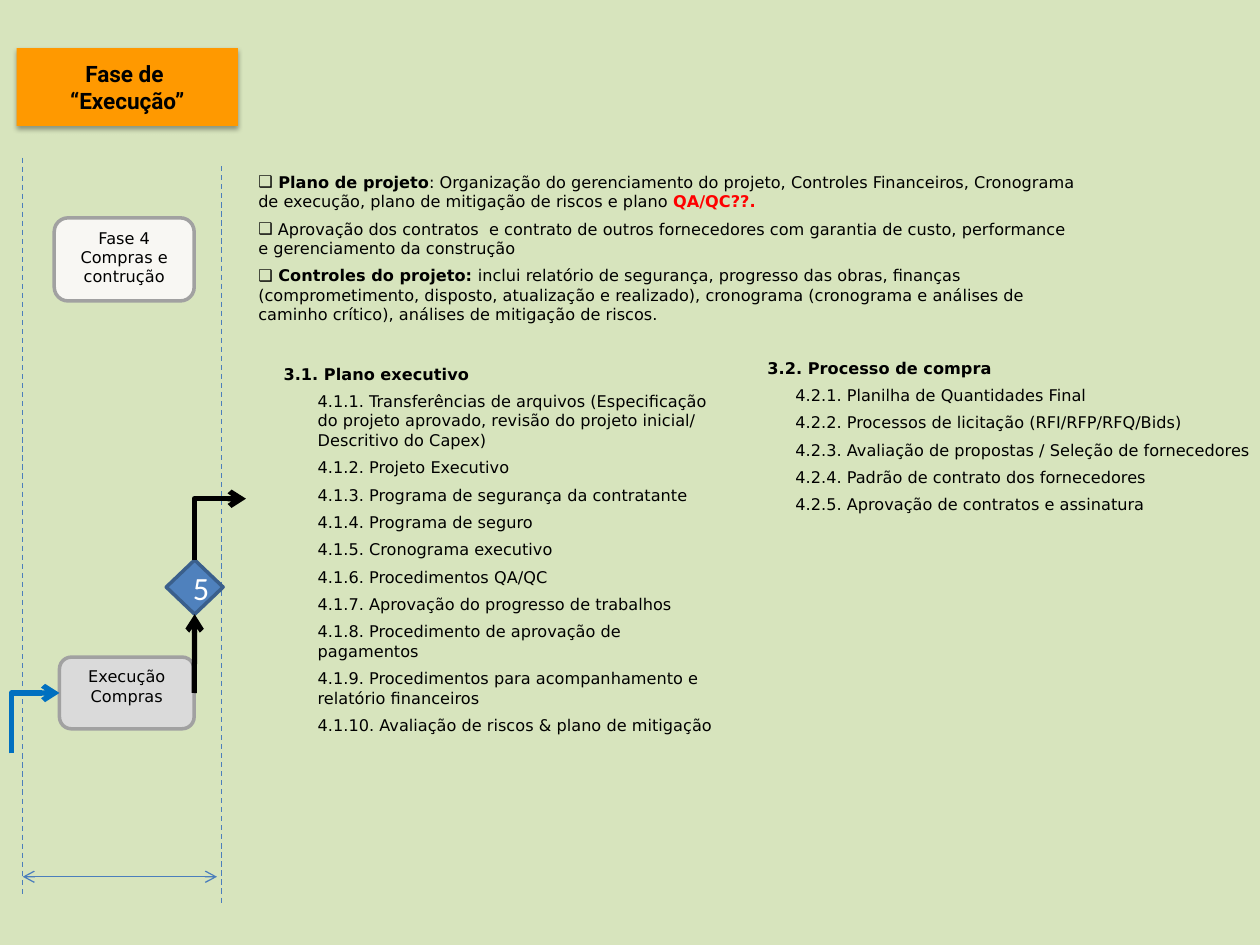
from lxml.etree import SubElement
from pptx import Presentation
from pptx.dml.color import RGBColor
from pptx.enum.dml import MSO_LINE
from pptx.enum.shapes import MSO_CONNECTOR, MSO_SHAPE
from pptx.enum.text import MSO_ANCHOR, MSO_AUTO_SIZE, PP_ALIGN
from pptx.oxml.ns import qn
from pptx.util import Pt

COLORS = {
    "background": "D7E4BD", "title": "FF9900", "text": "000000", "alert": "FF0000",
    "phase": "F8F7F3", "step": "DADADA", "box_line": "A1A1A1", "white": "FFFFFF",
    "gate": "4F81BD", "gate_line": "3A5F8C", "guide": "4B7EBC", "entry": "0070C0",
}
BODY_FONT = "DejaVu Sans"
BODY_SIZE = 9.2


def rgb(name):
    return RGBColor.from_string(COLORS[name])


class PhaseSlide:
    def __init__(self, presentation):
        self.slide = presentation.slides.add_slide(presentation.slide_layouts[5])
        self.shapes = self.slide.shapes
        self.slide.background.fill.solid()
        self.slide.background.fill.fore_color.rgb = rgb("background")

    def style(self, run, color="text", bold=False, font=BODY_FONT, size=BODY_SIZE):
        run.font.name, run.font.size, run.font.bold = font, Pt(size), bold
        run.font.color.rgb = rgb(color)

    def write_centered(self, shape, text, anchor, **style):
        frame = shape.text_frame
        frame.text = text
        frame.word_wrap = True
        frame.vertical_anchor = anchor
        for paragraph in frame.paragraphs:
            paragraph.alignment = PP_ALIGN.CENTER
            for run in paragraph.runs:
                self.style(run, **style)

    def title(self, text, left, top, width, height):
        title = self.shapes.title
        title.left, title.top, title.width, title.height = map(Pt, (left, top, width, height))
        title.fill.solid()
        title.fill.fore_color.rgb = rgb("title")
        self.write_centered(title, text, MSO_ANCHOR.MIDDLE, bold=True, font="Roboto", size=12.9)
        title.text_frame.auto_size = MSO_AUTO_SIZE.NONE
        # Soft shadow below the box
        effects = SubElement(title._element.spPr, qn("a:effectLst"))
        shadow = SubElement(effects, qn("a:outerShdw"), blurRad=str(Pt(3.1)),
                            dist=str(Pt(1.8)), dir="5400000", rotWithShape="0")
        color = SubElement(shadow, qn("a:srgbClr"), val=COLORS["text"])
        SubElement(color, qn("a:alpha"), val="35000")

    def box(self, kind, text, left, top, width, height, fill, line,
            anchor=MSO_ANCHOR.TOP, **style):
        box = self.shapes.add_shape(kind, Pt(left), Pt(top), Pt(width), Pt(height))
        box.shadow.inherit = False
        box.fill.solid()
        box.fill.fore_color.rgb = rgb(fill)
        box.line.color.rgb = rgb(line)
        box.line.width = Pt(2)
        self.write_centered(box, text, anchor, **style)
        return box

    def line(self, start, end, color, width, head=False, tail=False, dash=None):
        line = self.shapes.add_connector(MSO_CONNECTOR.STRAIGHT, *map(Pt, start + end))
        line.line.color.rgb = rgb(color)
        line.line.width = Pt(width)
        if dash:
            line.line.dash_style = dash
        for tag, wanted in (("a:headEnd", head), ("a:tailEnd", tail)):
            if wanted:
                SubElement(line.line._get_or_add_ln(), qn(tag), type="arrow")
        SubElement(line._element.spPr, qn("a:effectLst"))
        return line

    def elbow(self, start, end, color):
        """Arrow that goes up, then right: a flipped elbow turned by 90 degrees."""
        (x1, y1), (x2, y2) = start, end
        center_x, center_y = (x1 + x2) / 2, (y1 + y2) / 2
        half_rise, half_run = (y1 - y2) / 2, (x2 - x1) / 2
        elbow = self.line((center_x + half_rise, center_y + half_run),
                          (center_x - half_rise, center_y - half_run), color, 3, tail=True)
        properties = elbow._element.spPr
        properties.find(qn("a:xfrm")).set("rot", "5400000")
        properties.find(qn("a:prstGeom")).set("prst", "bentConnector2")

    def text(self, left, top, width, height, paragraphs, margin=0, indent=0, bullet=None):
        """Each paragraph is a list of (text, style) runs; the margin skips the heading."""
        frame = self.shapes.add_textbox(Pt(left), Pt(top), Pt(width), Pt(height)).text_frame
        frame.word_wrap = True
        for index, pieces in enumerate(paragraphs):
            paragraph = frame.paragraphs[0] if index == 0 else frame.add_paragraph()
            properties = paragraph._p.get_or_add_pPr()
            if bullet:
                SubElement(properties, qn("a:buFont"), typeface=BODY_FONT)
                SubElement(properties, qn("a:buChar"), char=bullet)
            if index:
                paragraph.space_before = Pt(BODY_SIZE / 2)
                properties.set("marL", str(Pt(margin)))
                properties.set("indent", str(Pt(indent)))
            for piece, style in pieces:
                run = paragraph.add_run()
                run.text = piece
                self.style(run, **style)

    def outline(self, left, top, width, height, heading, items, margin, indent=0):
        paragraphs = [[(heading, {"bold": True})]] + [[(item, {})] for item in items]
        self.text(left, top, width, height, paragraphs, margin, indent)


def main():
    presentation = Presentation()
    presentation.slide_width, presentation.slide_height = Pt(720), Pt(540)
    page = PhaseSlide(presentation)

    page.title("Fase de \n“Execução”", 9.5, 27.5, 126.5, 44.5)

    # Phase column with its guides
    page.line((13, 90), (13, 511), "guide", 0.75, dash=MSO_LINE.DASH)
    page.line((126.5, 95), (126.5, 516), "guide", 0.75, dash=MSO_LINE.DASH)
    page.line((13, 501), (124, 501), "guide", 0.75, head=True, tail=True)
    page.box(MSO_SHAPE.ROUNDED_RECTANGLE, "Fase 4 Compras e contrução",
             31, 124.5, 80, 47.5, "phase", "box_line")

    # Flow from the purchasing step through the gate
    purchasing = page.box(MSO_SHAPE.ROUNDED_RECTANGLE, "Execução\nCompras",
                          34, 375.5, 77, 41, "step", "box_line")
    gate = page.box(MSO_SHAPE.DIAMOND, "5", 95, 320, 32.5, 31, "gate", "gate_line",
                    MSO_ANCHOR.MIDDLE, color="white", font="Calibri", size=18.5)
    page.elbow((6.5, 430.5), (34, 396), "entry")
    to_gate = page.line((111, 396), (111, 351), "text", 3, tail=True)
    to_gate.begin_connect(purchasing, 3)
    to_gate.end_connect(gate, 2)
    page.elbow((111, 320), (140.5, 285), "text")

    # Project summary
    bold = {"bold": True}
    page.text(140.5, 95, 484, 96.5, [
        [(" Plano de projeto", bold),
         (": Organização do gerenciamento do projeto, Controles Financeiros, Cronograma "
          "de execução, plano de mitigação de riscos e plano ", {}),
         ("QA/QC??.", {"bold": True, "color": "alert"})],
        [(" Aprovação dos contratos  e contrato de outros fornecedores com garantia de "
          "custo, performance e gerenciamento da construção", {})],
        [(" Controles do projeto: ", bold),
         ("inclui relatório de segurança, progresso das obras, finanças (comprometimento, "
          "disposto, atualização e realizado), cronograma (cronograma e análises de "
          "caminho crítico), análises de mitigação de riscos.", {})],
    ], bullet="❑")

    # Outlines of the two work packages
    page.outline(155, 204.5, 260, 231, "3.1. Plano executivo", [
        "4.1.1. Transferências de arquivos (Especificação do projeto aprovado, "
        "revisão do projeto inicial/ Descritivo do Capex)",
        "4.1.2. Projeto Executivo",
        "4.1.3. Programa de segurança da contratante",
        "4.1.4. Programa de seguro",
        "4.1.5. Cronograma executivo",
        "4.1.6. Procedimentos QA/QC",
        "4.1.7. Aprovação do progresso de trabalhos",
        "4.1.8. Procedimento de aprovação de pagamentos",
        "4.1.9. Procedimentos para acompanhamento e relatório financeiros",
        "4.1.10. Avaliação de riscos & plano de mitigação",
    ], margin=19.5)
    page.outline(431.5, 201, 360, 102, "3.2. Processo de compra", [
        "4.2.1. Planilha de Quantidades Final",
        "4.2.2. Processos de licitação (RFI/RFP/RFQ/Bids)",
        "4.2.3. Avaliação de propostas / Seleção de fornecedores",
        "4.2.4. Padrão de contrato dos fornecedores",
        "4.2.5. Aprovação de contratos e assinatura",
    ], margin=36, indent=-20)

    presentation.save("out.pptx")


if __name__ == "__main__":
    main()
